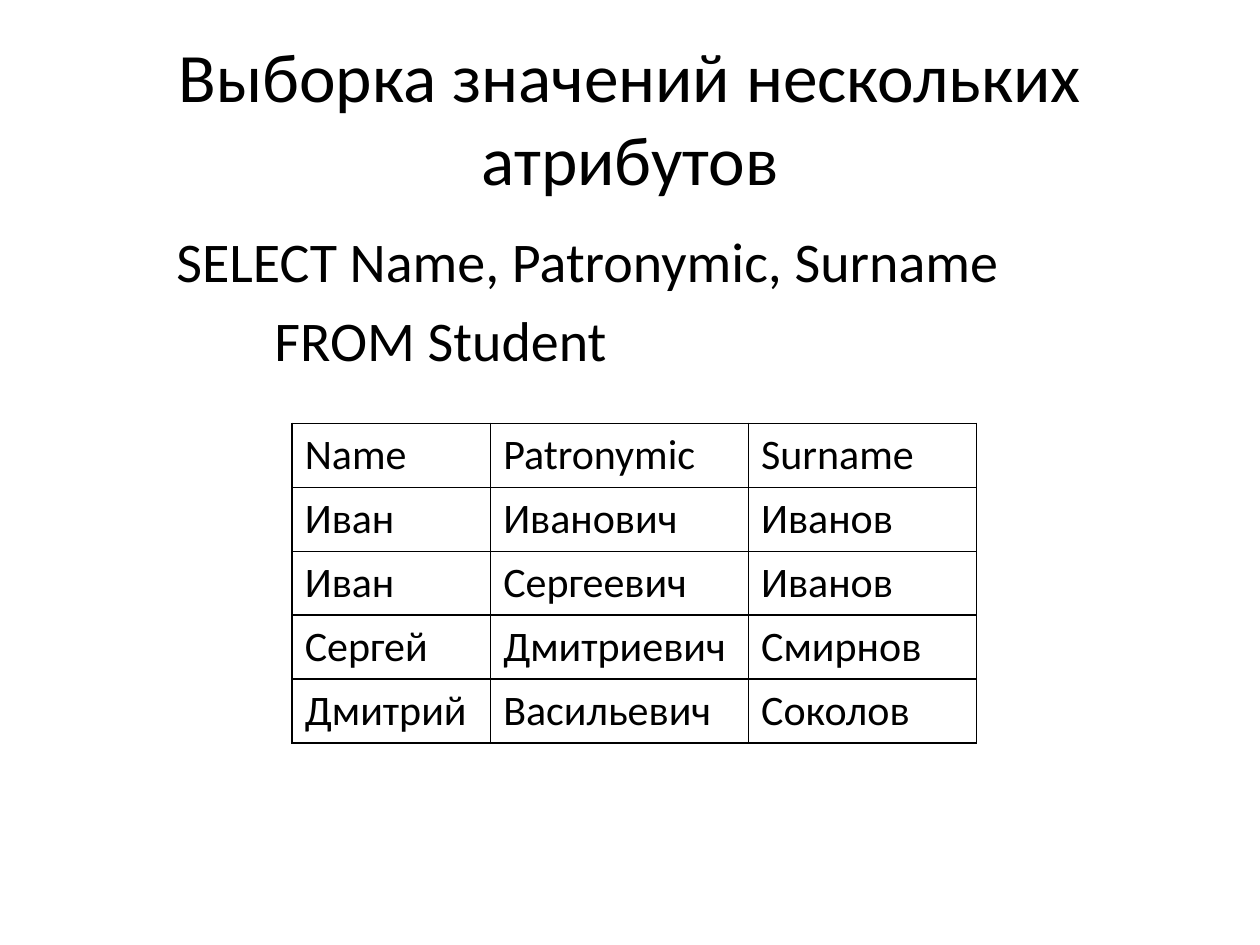
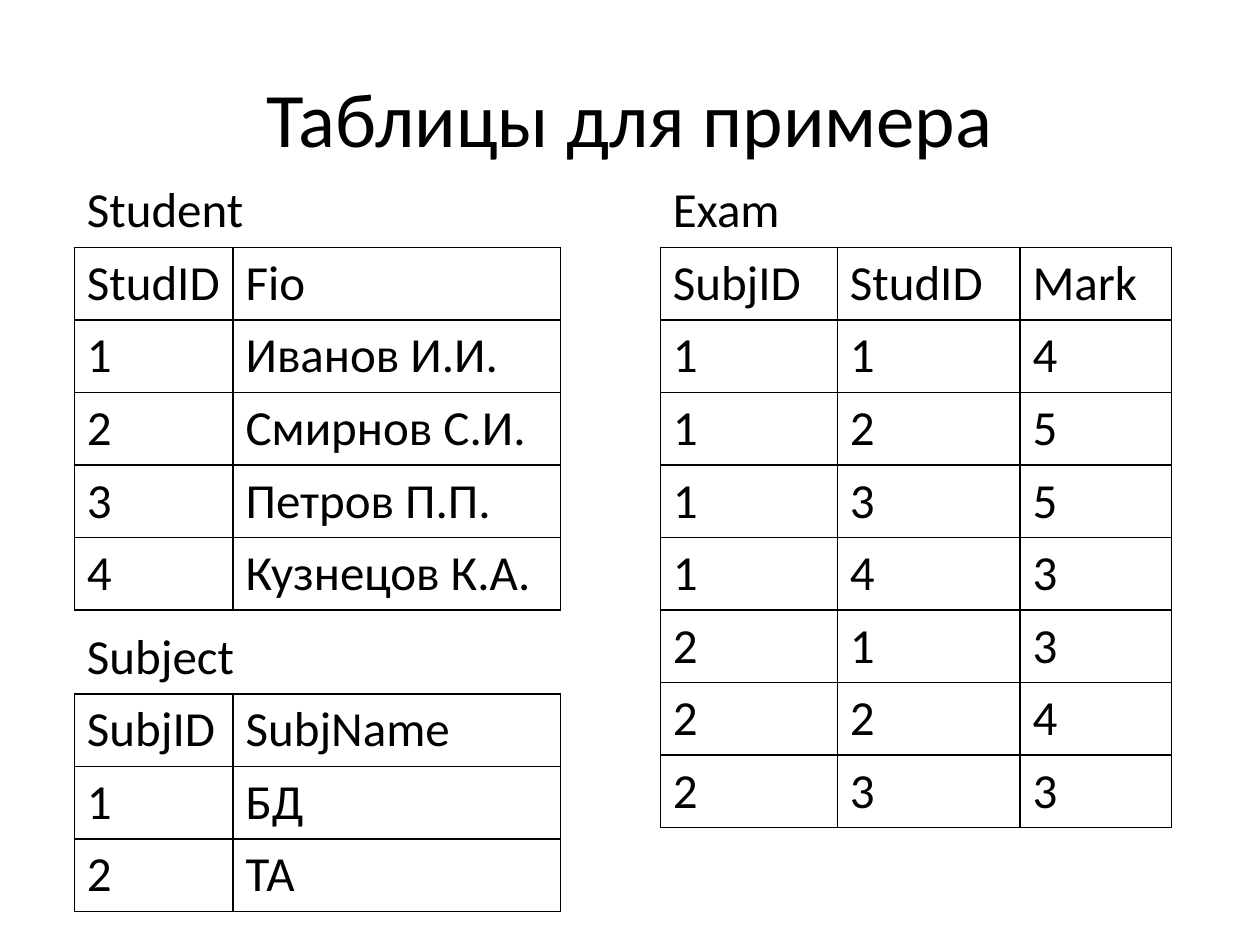
"""Build two slides about selecting attributes from database tables."""
import lxml.etree
import pptx
import pptx.dml.color
import pptx.enum.text
import pptx.oxml.ns
import pptx.util

FONT = "Calibri"
BLACK = "000000"
ALL_SIDES = ("lnL", "lnR", "lnT", "lnB")
LINE_HEIGHT = 1.22
CELL_MARGINS = 7.2
TITLE_BOX = (36, 21.6, 648, 90)
TABLE_TOP = 100


def color(hex_string):
    return pptx.dml.color.RGBColor.from_string(hex_string)


def points(*lengths):
    return [pptx.util.Pt(length) for length in lengths]


def style_font(paragraph, size):
    paragraph.font.name = FONT
    paragraph.font.size = pptx.util.Pt(size)
    paragraph.font.color.rgb = color(BLACK)


def place(shape, box):
    shape.left, shape.top, shape.width, shape.height = points(*box)
    shape.text_frame.auto_size = pptx.enum.text.MSO_AUTO_SIZE.NONE


def add_slide(presentation, layout_index, title, title_size):
    slide = presentation.slides.add_slide(presentation.slide_layouts[layout_index])
    shape = slide.shapes.title
    place(shape, TITLE_BOX)
    shape.text_frame.text = title
    shape.text_frame.vertical_anchor = pptx.enum.text.MSO_ANCHOR.MIDDLE
    paragraph = shape.text_frame.paragraphs[0]
    paragraph.alignment = pptx.enum.text.PP_ALIGN.CENTER
    style_font(paragraph, title_size)
    return slide


def fill_query(shape, box, lines, size=32, indent=56):
    place(shape, box)
    shape.text_frame.text = "\n".join(lines)
    for index, paragraph in enumerate(shape.text_frame.paragraphs):
        properties = paragraph._p.get_or_add_pPr()
        properties.set("marL", str(pptx.util.Pt(indent)))
        properties.set("indent", str(-pptx.util.Pt(indent)))
        lxml.etree.SubElement(properties, pptx.oxml.ns.qn("a:buNone"))
        paragraph.space_before = pptx.util.Pt(0.2 * size if index else 0)
        style_font(paragraph, size)


def draw_borders(cell, sides):
    properties = cell._tc.get_or_add_tcPr()
    for side in sides:
        line = lxml.etree.SubElement(properties, pptx.oxml.ns.qn(f"a:{side}"))
        line.set("w", str(pptx.util.Pt(1)))
        fill = lxml.etree.SubElement(line, pptx.oxml.ns.qn("a:solidFill"))
        lxml.etree.SubElement(fill, pptx.oxml.ns.qn("a:srgbClr")).set("val", BLACK)


def add_table(slide, left, top, widths, rows, size, caption=None):
    if caption:
        rows = [[caption] + [""] * (len(widths) - 1)] + rows
    row_height = size * LINE_HEIGHT + CELL_MARGINS
    box = points(left, top, sum(widths), row_height * len(rows))
    table = slide.shapes.add_table(len(rows), len(widths), *box).table
    table.first_row = table.horz_banding = False
    for column, width in zip(table.columns, widths):
        column.width = pptx.util.Pt(width)
    for row_index, row in enumerate(rows):
        is_caption = bool(caption) and row_index == 0
        for column_index, text in enumerate(row):
            cell = table.cell(row_index, column_index)
            cell.text = text
            style_font(cell.text_frame.paragraphs[0], size)
            draw_borders(cell, ("lnB",) if is_caption else ALL_SIDES)
            cell.fill.background()
    if caption:
        table.cell(0, 0).merge(table.cell(0, len(widths) - 1))


def build_query_slide(presentation):
    slide = add_slide(presentation, 1, "Выборка значений нескольких атрибутов", 39.6)
    fill_query(slide.placeholders[1], (93.6, 126, 556, 104.4),
               ["SELECT Name, Patronymic, Surname", "\tFROM Student"])
    add_table(slide, 167, 242, (113.4, 147.4, 130.3), [
        ["Name", "Patronymic", "Surname"],
        ["Иван", "Иванович", "Иванов"],
        ["Иван", "Сергеевич", "Иванов"],
        ["Сергей", "Дмитриевич", "Смирнов"],
        ["Дмитрий", "Васильевич", "Соколов"],
    ], 24)


def build_tables_slide(presentation):
    slide = add_slide(presentation, 5, "Таблицы для примера", 44)
    left, left_widths = 42.5, (90.7, 187.2)
    marks = ["114", "125", "135", "143", "213", "224", "233"]
    add_table(slide, 377.3, TABLE_TOP, (101.2, 104.4, 86.4),
              [["SubjID", "StudID", "Mark"]] + [list(digits) for digits in marks],
              28, "Exam")
    add_table(slide, left, TABLE_TOP, left_widths, [
        ["StudID", "Fio"],
        ["1", "Иванов И.И."],
        ["2", "Смирнов С.И."],
        ["3", "Петров П.П."],
        ["4", "Кузнецов К.А."],
    ], 28, "Student")
    add_table(slide, left, 355, left_widths, [
        ["SubjID", "SubjName"],
        ["1", "БД"],
        ["2", "ТА"],
    ], 28, "Subject")


def main():
    presentation = pptx.Presentation()
    presentation.slide_width, presentation.slide_height = points(720, 540)
    build_query_slide(presentation)
    build_tables_slide(presentation)
    presentation.save("out.pptx")


if __name__ == "__main__":
    main()
